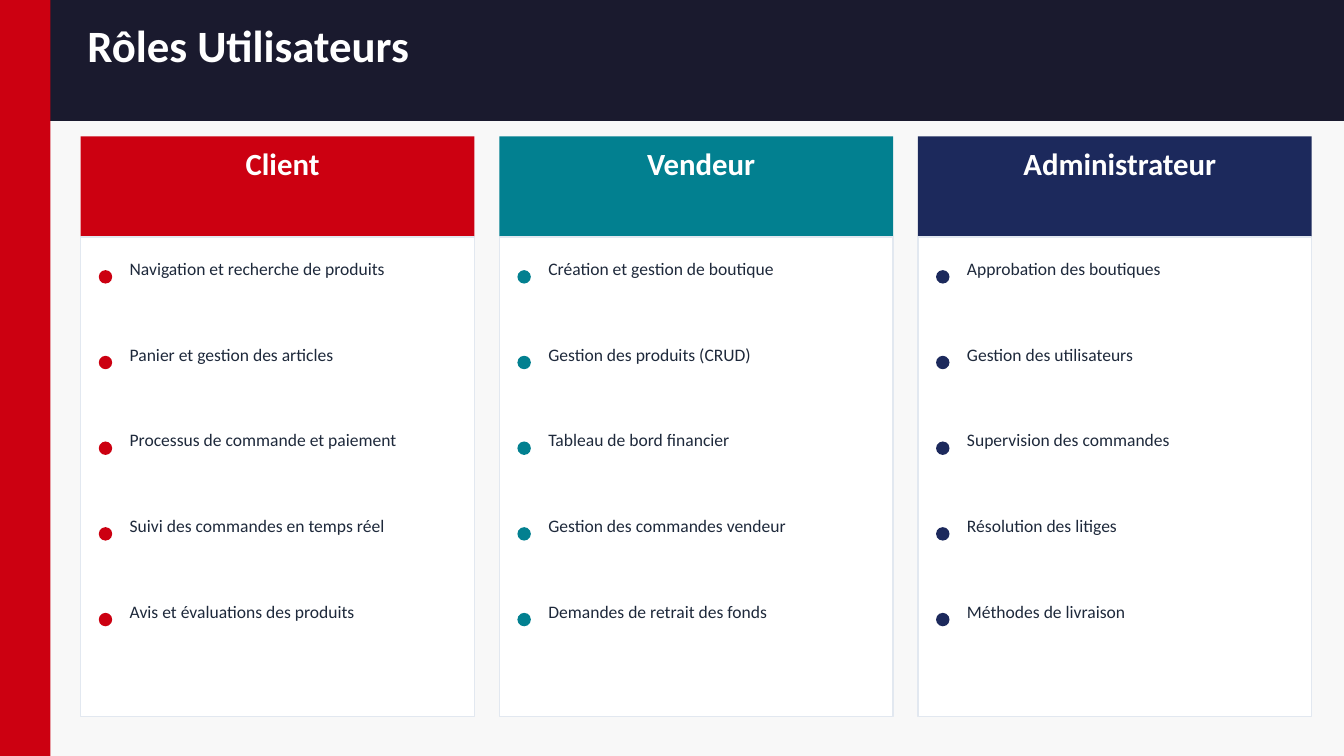
from pptx import Presentation
from pptx.dml.color import RGBColor
from pptx.enum.shapes import MSO_SHAPE
from pptx.enum.text import PP_ALIGN
from pptx.util import Inches, Pt

# Content
TITLE = "Rôles Utilisateurs"
ROLES = [
    ("Client", "CC0011", [
        "Navigation et recherche de produits",
        "Panier et gestion des articles",
        "Processus de commande et paiement",
        "Suivi des commandes en temps réel",
        "Avis et évaluations des produits",
    ]),
    ("Vendeur", "028090", [
        "Création et gestion de boutique",
        "Gestion des produits (CRUD)",
        "Tableau de bord financier",
        "Gestion des commandes vendeur",
        "Demandes de retrait des fonds",
    ]),
    ("Administrateur", "1C295C", [
        "Approbation des boutiques",
        "Gestion des utilisateurs",
        "Supervision des commandes",
        "Résolution des litiges",
        "Méthodes de livraison",
    ]),
]

# Style and grid, in inches
FONT = "Calibri"
WHITE, PAPER, NAVY, RED = "FFFFFF", "F8F8F8", "1A1A2E", "CC0011"
INK, BORDER = "1E293B", "E2E8F0"
SLIDE_W, SLIDE_H = 20, 11.25
CARD_LEFT, CARD_W, CARD_STEP = 1.2, 5.86, 6.23
HEAD_TOP, HEAD_H, BODY_H = 2.03, 1.5, 7.13
ITEM_TOP, ITEM_STEP, DOT = 3.84, 1.275, 0.2


def rgb(color):
    return RGBColor.from_string(color)


def add_block(slide, kind, x, y, w, h, fill, line=None):
    s = slide.shapes.add_shape(kind, Inches(x), Inches(y), Inches(w), Inches(h))
    s.shadow.inherit = False
    s.fill.solid()
    s.fill.fore_color.rgb = rgb(fill)
    if line:
        s.line.color.rgb = rgb(line)
        s.line.width = Pt(1.5)
    else:
        s.line.fill.background()


def add_text(slide, text, x, y, w, h, size, color, bold=False, align=PP_ALIGN.LEFT):
    tf = slide.shapes.add_textbox(Inches(x), Inches(y), Inches(w), Inches(h)).text_frame
    tf.word_wrap = True
    tf.margin_left = tf.margin_right = tf.margin_top = tf.margin_bottom = 0
    tf.text = text
    p = tf.paragraphs[0]
    p.alignment = align
    p.line_spacing = Pt(round(size * 1.2, 1))
    font = p.runs[0].font
    font.name, font.size, font.bold = FONT, Pt(size), bold
    font.color.rgb = rgb(color)


def add_role(slide, x, name, color, items):
    # Coloured heading above a bordered card
    add_block(slide, MSO_SHAPE.RECTANGLE, x, HEAD_TOP, CARD_W, HEAD_H, color)
    add_text(slide, name, x + 0.33, HEAD_TOP + 0.12, 5.35, 1.02, 33, WHITE,
             bold=True, align=PP_ALIGN.CENTER)
    add_block(slide, MSO_SHAPE.RECTANGLE, x, HEAD_TOP + HEAD_H, CARD_W, BODY_H,
              WHITE, BORDER)
    # Dotted list of tasks
    for i, item in enumerate(items):
        y = ITEM_TOP + i * ITEM_STEP
        add_block(slide, MSO_SHAPE.OVAL, x + 0.27, y + 0.18, DOT, DOT, color)
        add_text(slide, item, x + 0.73, y, 4.83, 1.07, 18.8, INK)


def main():
    prs = Presentation()
    prs.slide_width, prs.slide_height = Inches(SLIDE_W), Inches(SLIDE_H)
    slide = prs.slides.add_slide(prs.slide_layouts[6])
    slide.background.fill.solid()
    slide.background.fill.fore_color.rgb = rgb(WHITE)

    # Page, title band and side bar
    add_block(slide, MSO_SHAPE.RECTANGLE, 0, 0, SLIDE_W, SLIDE_H, PAPER)
    add_block(slide, MSO_SHAPE.RECTANGLE, 0, 0, SLIDE_W, 1.8, NAVY)
    add_block(slide, MSO_SHAPE.RECTANGLE, 0, 0, 0.75, SLIDE_H, RED)
    add_text(slide, TITLE, 1.3, 0.26, 14.81, 1.34, 48, WHITE, bold=True)

    # One column per role
    for i, (name, color, items) in enumerate(ROLES):
        add_role(slide, CARD_LEFT + i * CARD_STEP, name, color, items)

    prs.save("out.pptx")


if __name__ == "__main__":
    main()
